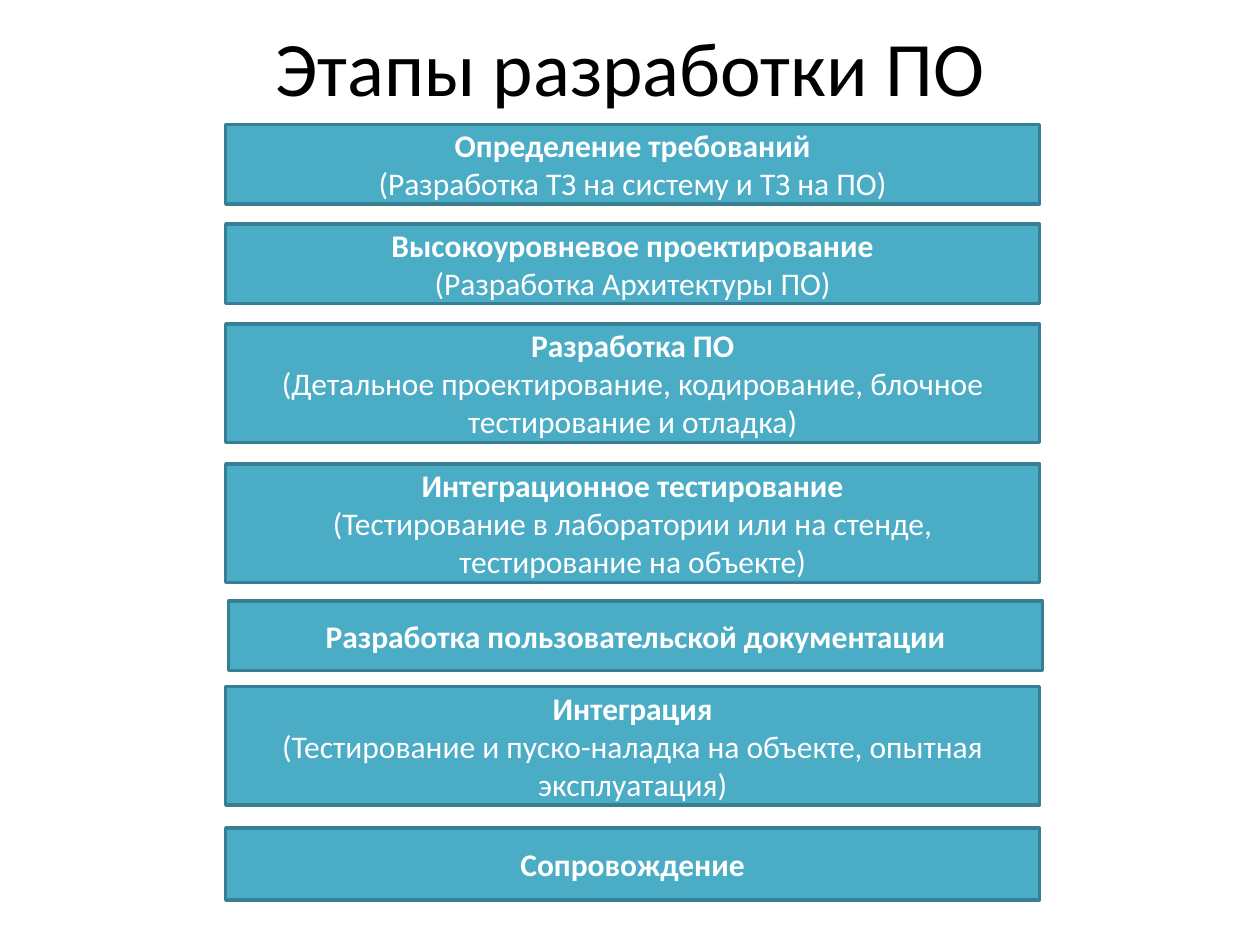
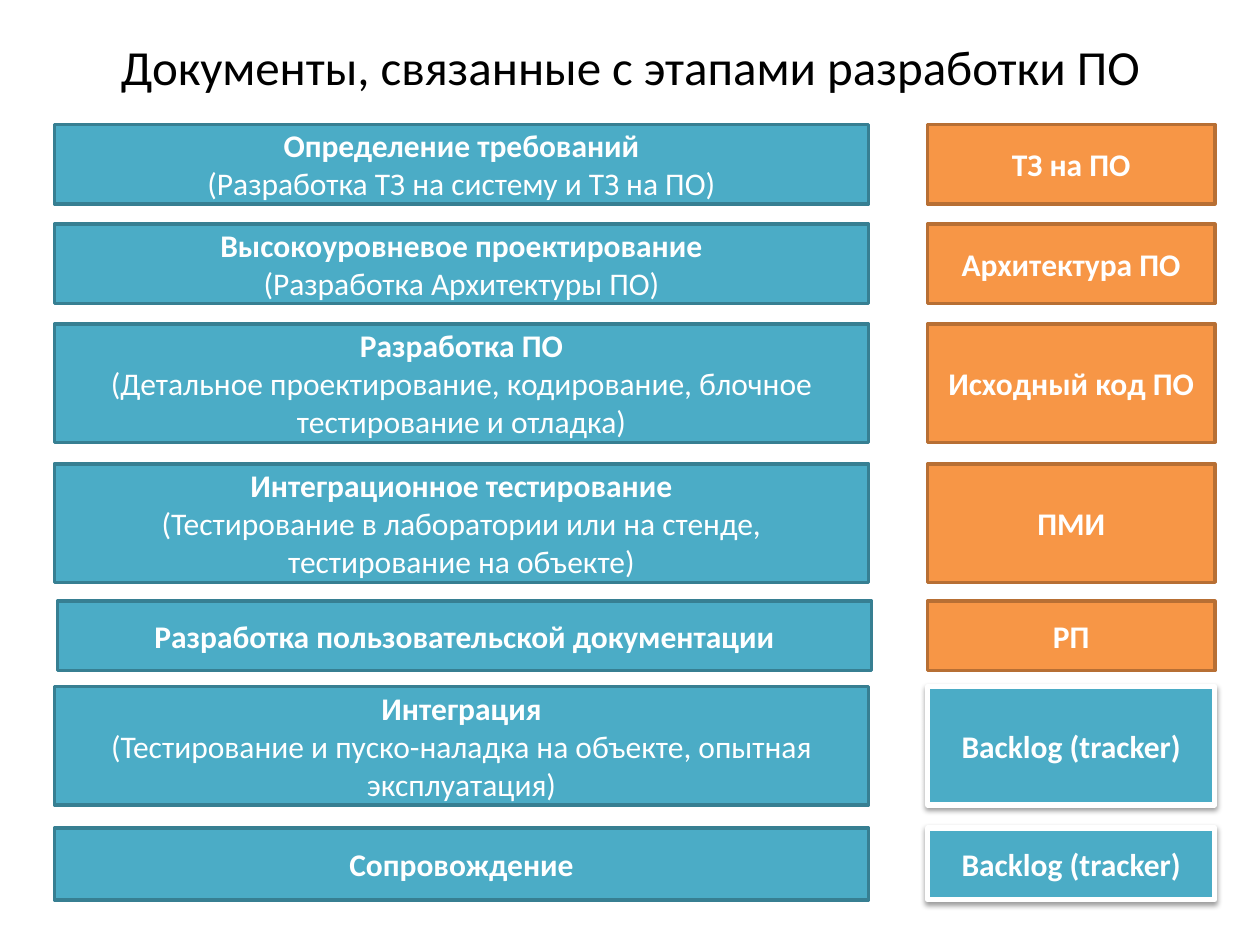
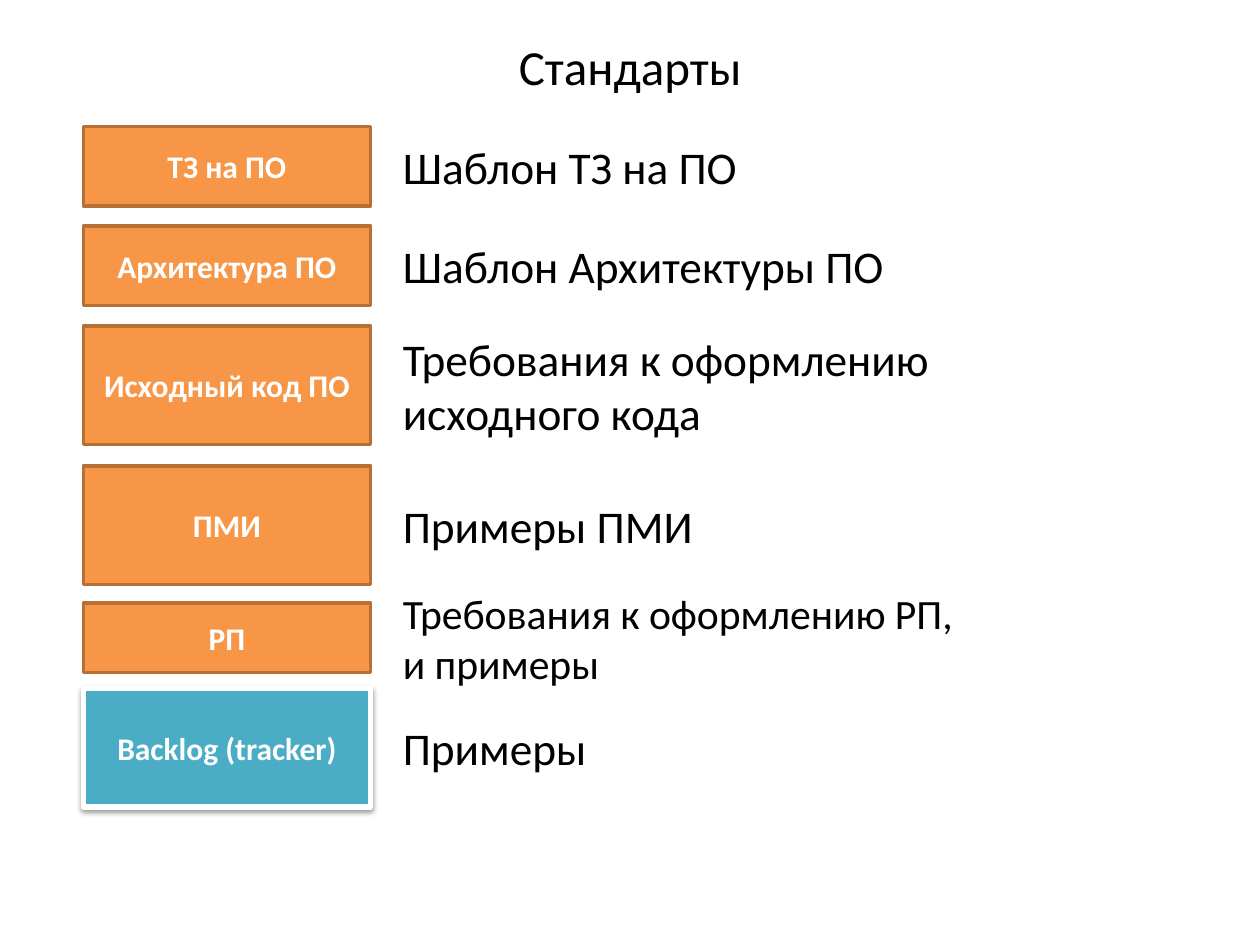
from lxml.etree import SubElement
from pptx import Presentation
from pptx.dml.color import RGBColor
from pptx.enum.shapes import MSO_SHAPE as Preset
from pptx.enum.text import MSO_ANCHOR as Anchor, PP_ALIGN as Align
from pptx.oxml.ns import qn
from pptx.util import Cm, Pt

FONT = "Calibri"
COLORS = {
    "stage": "4BACC6",
    "stage_line": "377F92",
    "document": "F79646",
    "document_line": "B76F34",
    "white": "FFFFFF",
    "black": "000000",
}
STYLES = {
    "stage": ("stage", "stage_line", 2, False),
    "document": ("document", "document_line", 2, False),
    "backlog": ("stage", "white", 3, True),
}

ROWS = [
    (2.51, 1.6), (4.52, 1.6), (6.53, 2.39), (9.35, 2.39),
    (12.12, 1.4), (13.84, 2.39), (16.69, 1.45),
]
STAGES = [
    ("Определение требований", "(Разработка ТЗ на систему и ТЗ на ПО)"),
    ("Высокоуровневое проектирование", "(Разработка Архитектуры ПО)"),
    ("Разработка ПО", "(Детальное проектирование, кодирование, блочное тестирование и отладка)"),
    ("Интеграционное тестирование", "(Тестирование в лаборатории или на стенде, тестирование на объекте)"),
    ("Разработка пользовательской документации",),
    ("Интеграция", "(Тестирование и пуско-наладка на объекте, опытная эксплуатация)"),
    ("Сопровождение",),
]
DOCUMENTS = [
    ("ТЗ на ПО", "document"),
    ("Архитектура ПО", "document"),
    ("Исходный код ПО", "document"),
    ("ПМИ", "document"),
    ("РП", "document"),
    ("Backlog (tracker)", "backlog"),
    ("Backlog (tracker)", "backlog"),
]
STANDARDS = [
    (["Шаблон ТЗ на ПО"], 25.9, 14.02, 1.2),
    (["Шаблон Архитектуры ПО"], 25.9, 14.02, 1.2),
    (["Требования к оформлению", "исходного кода"], 25.9, 16.38, 2.2),
    (["Примеры ПМИ"], 25.9, 16.38, 1.2),
    (["Требования к оформлению РП,", "и примеры"], 23.8, 16.38, 1.93),
    (["Примеры"], 25.9, 16.38, 1.2),
]

STAGE_WIDTH = 16.41
DOCUMENT_WIDTH = 5.79
STANDARD_LEFT = 7.87
USER_GUIDE_ROW = 4
USER_GUIDE_SHIFT = 0.06
STANDARDS_DROP = 0.04


def color(name):
    return RGBColor.from_string(COLORS[name])


def write(box, lines, size, ink, align, bold_first=False):
    frame = box.text_frame
    frame.word_wrap = True
    frame.vertical_anchor = Anchor.MIDDLE
    for index, line in enumerate(lines):
        para = frame.add_paragraph() if index else frame.paragraphs[0]
        para.alignment = align
        span = para.add_run()
        span.text = line
        span.font.name = FONT
        span.font.size = Pt(size)
        span.font.bold = bold_first and index == 0
        span.font.color.rgb = color(ink)


def add_text(page, left, top, width, height, lines, size, align):
    box = page.shapes.add_textbox(Cm(left), Cm(top), Cm(width), Cm(height))
    write(box, lines, size, "black", align)


def add_shadow(box):
    effects = box._element.spPr.find(qn("a:effectLst"))
    shadow = SubElement(effects, qn("a:outerShdw"), blurRad=str(Pt(3.1)),
                        dist=str(Pt(1.6)), dir="5400000", rotWithShape="0")
    tint = SubElement(shadow, qn("a:srgbClr"), val=COLORS["black"])
    SubElement(tint, qn("a:alpha"), val="38000")


def add_block(page, left, top, width, height, lines, style):
    fill, line, weight, shadowed = STYLES[style]
    box = page.shapes.add_shape(Preset.RECTANGLE, Cm(left), Cm(top), Cm(width), Cm(height))
    box.shadow.inherit = False
    box.fill.solid()
    box.fill.fore_color.rgb = color(fill)
    box.line.color.rgb = color(line)
    box.line.width = Pt(weight)
    if shadowed:
        add_shadow(box)
    write(box, lines, 18, "white", Align.CENTER, bold_first=True)


def add_page(deck, title, size):
    page = deck.slides.add_slide(deck.slide_layouts[6])
    add_text(page, 1.91, -0.03, 21.59, 2.72, [title], size, Align.CENTER)
    return page


def add_stages(page, left):
    for index, ((top, height), lines) in enumerate(zip(ROWS, STAGES)):
        shift = USER_GUIDE_SHIFT if index == USER_GUIDE_ROW else 0
        add_block(page, left + shift, top, STAGE_WIDTH, height, lines, "stage")


def add_documents(page, left, documents, drop=0):
    for (top, height), (name, style) in zip(ROWS, documents):
        add_block(page, left, top + drop, DOCUMENT_WIDTH, height, [name], style)


def add_standards(page):
    for (top, row_height), (lines, size, width, height) in zip(ROWS, STANDARDS):
        centred_top = top + STANDARDS_DROP + (row_height - height) / 2
        add_text(page, STANDARD_LEFT, centred_top, width, height, lines, size, Align.LEFT)


def main():
    deck = Presentation()
    deck.slide_width, deck.slide_height = Cm(25.4), Cm(19.05)

    add_stages(add_page(deck, "Этапы разработки ПО", 44), 4.55)

    page = add_page(deck, "Документы, связанные с этапами разработки ПО", 28)
    add_stages(page, 1.1)
    add_documents(page, 18.7, DOCUMENTS)

    page = add_page(deck, "Стандарты", 28)
    add_documents(page, 1.68, DOCUMENTS[:len(STANDARDS)], STANDARDS_DROP)
    add_standards(page)

    deck.save("out.pptx")


if __name__ == "__main__":
    main()
